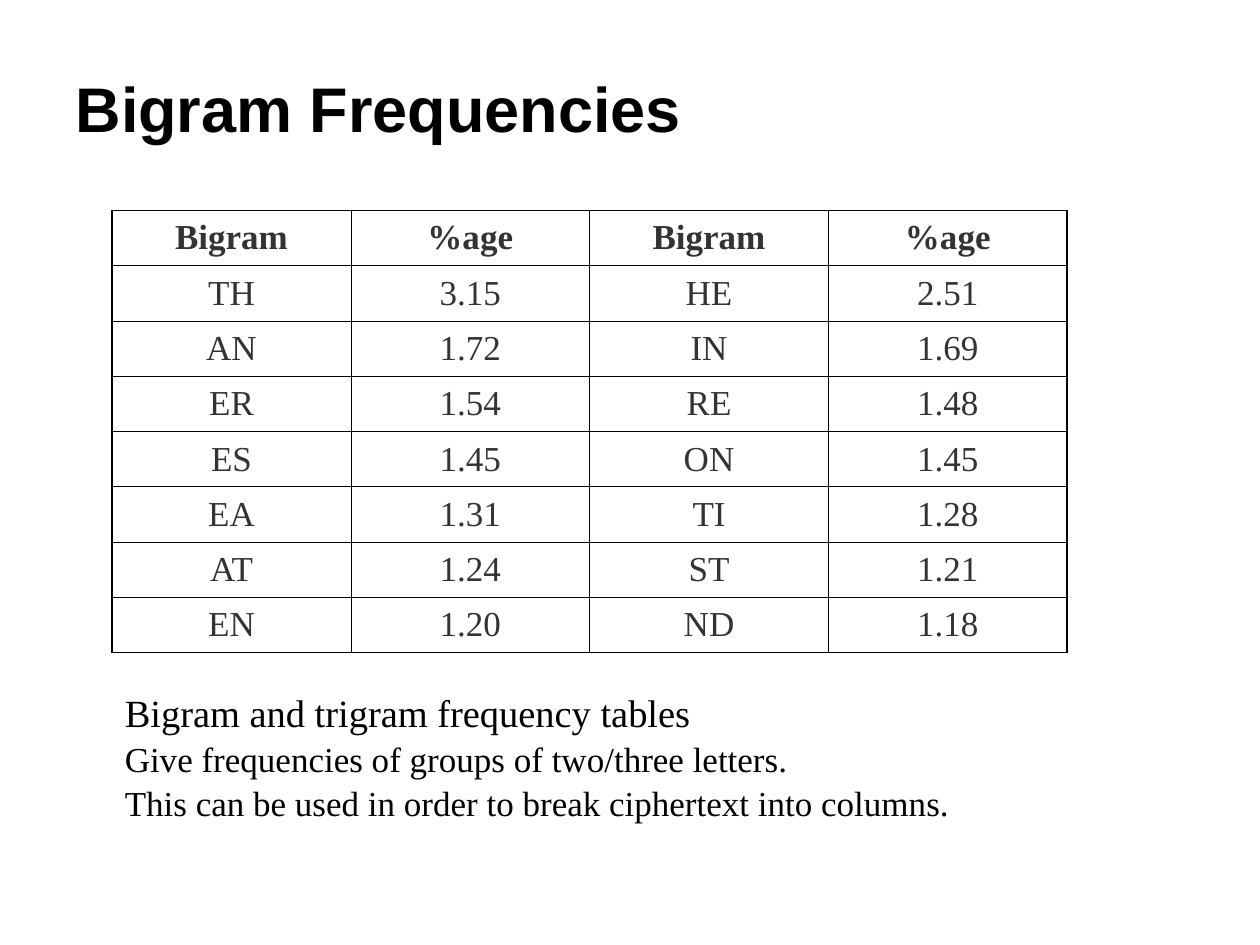
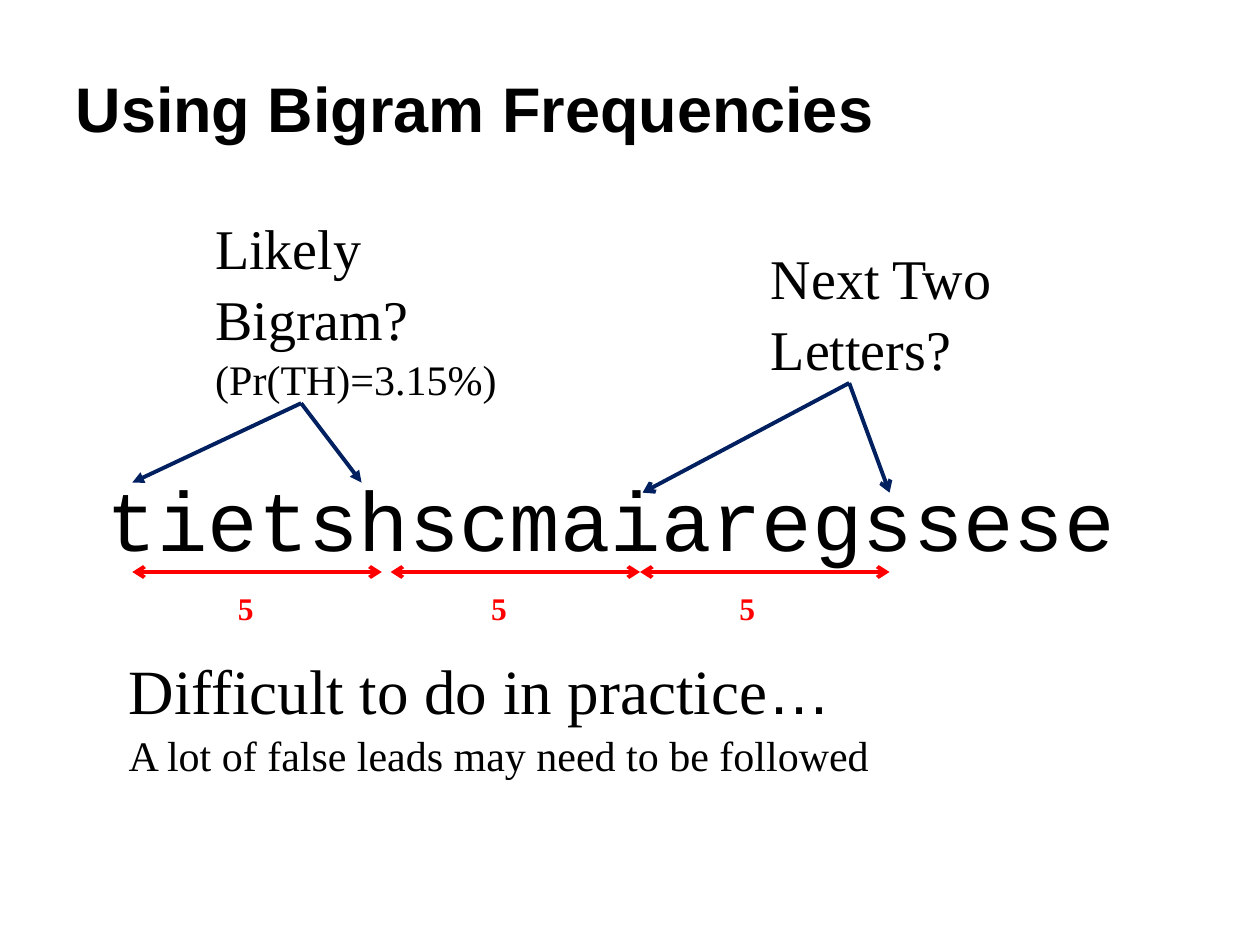
from dataclasses import dataclass

from lxml.etree import SubElement as Sub
from pptx import Presentation
from pptx.dml.color import RGBColor as Rgb
from pptx.enum.shapes import MSO_CONNECTOR as Conn
from pptx.enum.text import MSO_ANCHOR as Anchor, MSO_AUTO_SIZE as Auto, PP_ALIGN as Align
from pptx.oxml.ns import qn
from pptx.util import Inches, Pt


@dataclass(frozen=True)
class Theme:
    ink: str = "000000"
    grey: str = "333333"
    navy: str = "002060"
    red: str = "FF0000"
    sans: str = "Arial"
    serif: str = "Times New Roman"
    mono: str = "Courier New"
    title: int = 36
    cipher: int = 48
    ask: int = 32
    sub: int = 24
    lead: int = 22
    text: int = 20
    count: int = 18
    pitch: float = 1.05
    rule: float = 0.45
    edge: float = 1.08
    arrow: float = 2.25


T = Theme()
TITLE = (0.5, 0.31, 9, 1.09)

# Each paragraph is a list of (text, size, format) runs.
BIGRAMS = [
    ("Bigram", "%age", "Bigram", "%age"),
    ("TH", "3.15", "HE", "2.51"),
    ("AN", "1.72", "IN", "1.69"),
    ("ER", "1.54", "RE", "1.48"),
    ("ES", "1.45", "ON", "1.45"),
    ("EA", "1.31", "TI", "1.28"),
    ("AT", "1.24", "ST", "1.21"),
    ("EN", "1.20", "ND", "1.18"),
]
GRID = (0.89, 1.67, 7.58, 3.51)
NOTES = [
    [("Bigram and trigram frequency tables", T.lead, {})],
    [("Give frequencies of groups of two/three letters.", T.text, {})],
    [("This can be used in order to break ciphertext into columns.", T.text, {})],
]

CIPHER = [[("tietshscmaiaregssese", T.cipher, {"name": T.mono})]]
ASKS = [  # box, text, arrow start, arrow ends, arrowhead
    ((1.61, 1.62, 2.68, 1.97),
     [[("Likely Bigram?", T.ask, {})], [("(Pr(TH)=3.15%)", T.sub, {})]],
     (2.39, 3.2), [(1.05, 3.83), (2.87, 3.83)], "triangle"),
    ((6.02, 1.86, 2.68, 1.7),
     [[("Next Two Letters?", T.ask, {})]],
     (6.74, 3.04), [(5.1, 3.91), (7.06, 3.91)], "arrow"),
]
SPAN, SPAN_Y = 1.98, 4.54
SPANS = [(1.05, 1.79), (3.1, 3.8), (5.08, 5.77)]  # arrow left, label left
CLOSE = [
    [("Difficult to do in practice", T.title, {}), ("…", T.title, {"name": T.sans})],
    [("A lot of false leads may need to be followed", T.sub, {})],
]


def inch(vals):
    return [Inches(v) for v in vals]


def put(obj, **vals):
    for key, val in vals.items():
        setattr(obj, key, val)


def move(shape, box):
    put(shape, **dict(zip(("left", "top", "width", "height"), inch(box))))


def write(frame, paras, color=T.ink, pitch=T.pitch, align=Align.LEFT):
    for i, runs in enumerate(paras):
        para = frame.add_paragraph() if i else frame.paragraphs[0]
        put(para, alignment=align, line_spacing=pitch, space_before=Pt(0))
        for text, size, fmt in runs:
            run = para.add_run()
            run.text = text
            put(run.font, **{"name": T.serif, "size": Pt(size), "bold": False, **fmt})
            run.font.color.rgb = Rgb.from_string(color)


def add_text(slide, box, paras, **opts):
    frame = slide.shapes.add_textbox(*inch(box)).text_frame
    frame.word_wrap = True
    write(frame, paras, **opts)


def add_page(prs, title, box, paras):
    """Add a slide with its title and its unbulleted body text."""
    slide = prs.slides.add_slide(prs.slide_layouts[1])
    head, body = slide.shapes.title, slide.placeholders[1]
    move(head, TITLE)
    put(head.text_frame, vertical_anchor=Anchor.MIDDLE, auto_size=Auto.NONE)
    write(head.text_frame, [[(title, T.title, {"name": T.sans, "bold": True})]], pitch=1.0)
    move(body, box)
    body.text_frame.auto_size = Auto.NONE
    write(body.text_frame, paras)
    for para in body.text_frame.paragraphs:
        props = para._p.get_or_add_pPr()
        props.set("marL", "0")
        props.set("indent", "0")
        Sub(props, qn("a:buNone"))
    return slide


def add_arrow(slide, start, end, color, **heads):
    line = slide.shapes.add_connector(Conn.STRAIGHT, *inch(start + end))
    line.line.width = Pt(T.arrow)
    line.line.color.rgb = Rgb.from_string(color)
    for side, kind in heads.items():
        Sub(line.line._ln, qn(f"a:{side}End"), type=kind)
    Sub(line._element.spPr, qn("a:effectLst"))


def add_borders(cell, outer):
    """Rule the sides L, R, T, B; outer tells which lie on the table's edge."""
    props = cell._tc.get_or_add_tcPr()
    for side, edge in zip("LRTB", outer):
        line = Sub(props, qn(f"a:ln{side}"), w=str(int(Pt(T.edge if edge else T.rule))))
        Sub(Sub(line, qn("a:solidFill")), qn("a:srgbClr"), val=T.ink)


def add_grid(slide, rows, box):
    high, wide = len(rows), len(rows[0])
    table = slide.shapes.add_table(high, wide, *inch(box)).table
    put(table, first_row=False, horz_banding=False)
    for r, row in enumerate(rows):
        for c, text in enumerate(row):
            cell = table.cell(r, c)
            write(cell.text_frame, [[(text, T.text, {"bold": r == 0})]],
                  color=T.grey, align=Align.CENTER)
            add_borders(cell, (c == 0, c == wide - 1, r == 0, r == high - 1))
            cell.fill.background()


def main():
    prs = Presentation()
    put(prs, slide_width=Inches(10), slide_height=Inches(7.5))

    slide = add_page(prs, "Bigram Frequencies", (0.89, 5.4, 7.65, 1.14), NOTES)
    add_grid(slide, BIGRAMS, GRID)

    slide = add_page(prs, "Using Bigram Frequencies", (0.92, 5.09, 7.65, 1.1), CLOSE)
    add_text(slide, (0.75, 3.75, 8.27, 0.82), CIPHER, pitch=0.9)
    for box, paras, start, ends, kind in ASKS:
        add_text(slide, box, paras)
        for end in ends:
            add_arrow(slide, start, end, T.navy, tail=kind)
    for left, label in SPANS:
        add_arrow(slide, (left, SPAN_Y), (left + SPAN, SPAN_Y), T.red,
                  head="arrow", tail="arrow")
        add_text(slide, (label, 4.61, 0.59, 0.4),
                 [[("5", T.count, {"bold": True})]], color=T.red)

    prs.save("out.pptx")


if __name__ == "__main__":
    main()
